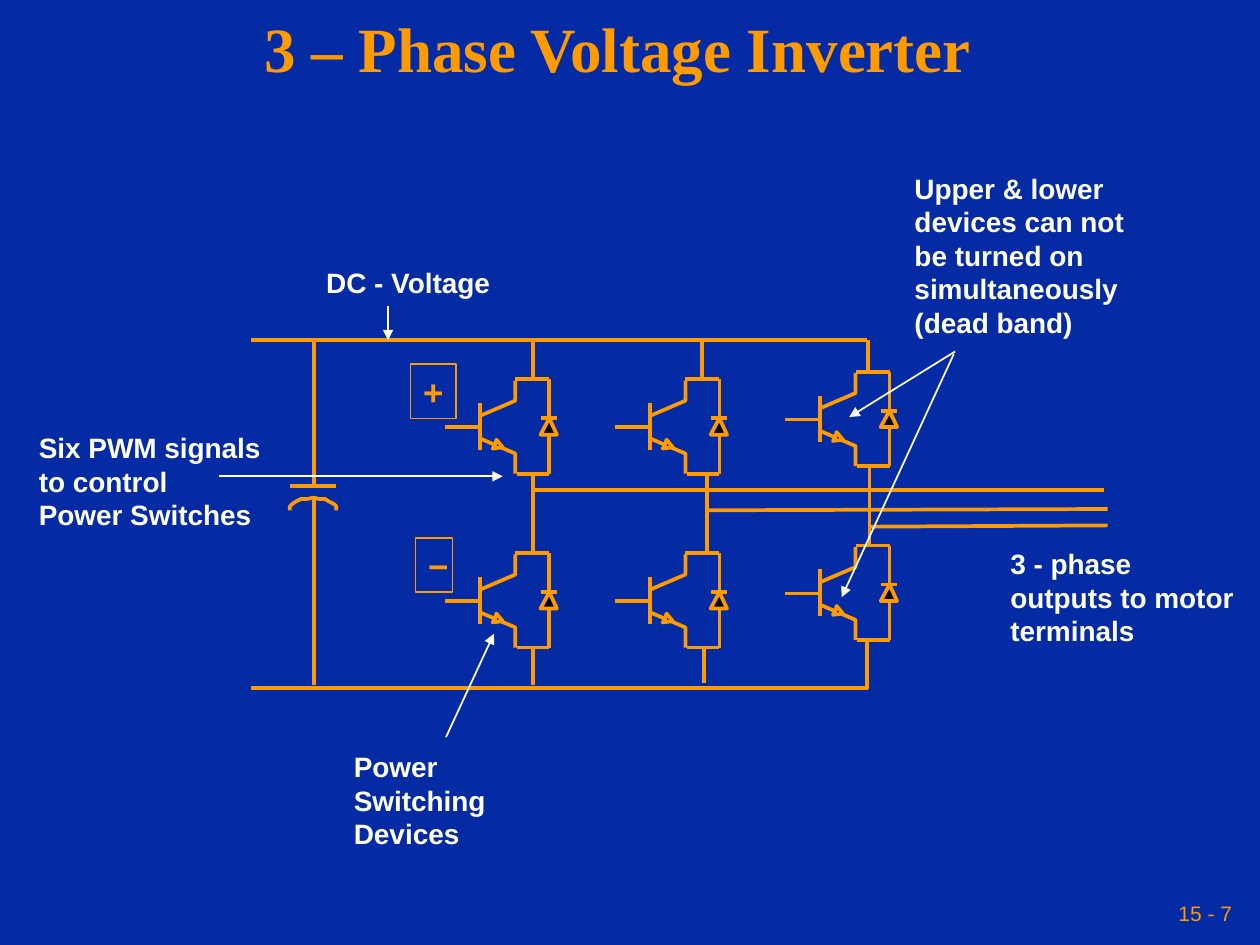
from lxml import etree
from pptx import Presentation
from pptx.dml.color import RGBColor
from pptx.enum.shapes import MSO_CONNECTOR, MSO_SHAPE
from pptx.enum.text import MSO_ANCHOR, MSO_AUTO_SIZE, PP_ALIGN
from pptx.oxml.ns import qn
from pptx.util import Inches, Pt

LINE, RECT = MSO_CONNECTOR.STRAIGHT, MSO_SHAPE.RECTANGLE
TOP, MIDDLE = MSO_ANCHOR.TOP, MSO_ANCHOR.MIDDLE
FIT, FIXED = MSO_AUTO_SIZE.SHAPE_TO_FIT_TEXT, MSO_AUTO_SIZE.NONE
LEFT, CENTER, RIGHT = PP_ALIGN.LEFT, PP_ALIGN.CENTER, PP_ALIGN.RIGHT
NAVY = RGBColor(0x04, 0x2A, 0xA4)
ORANGE = RGBColor(0xFE, 0x9B, 0x03)
WHITE = RGBColor(0xFF, 0xFF, 0xFF)
BLACK = RGBColor(0, 0, 0)

SWITCH_WIRES = [
    (0, 0.38, 0.28, 0.38), (0.28, 0.56, 0.28, 0.19),
    (0.83, 0.58, 0.83, 0.17), (0.83, 0.75, 0.83, 0),
    (0.76, 0.31, 0.89, 0.31), (0.83, 0.75, 0.61, 0.75),
    (0.83, 0, 0.56, 0), (0.57, 0.75, 0.64, 0.75),
]
COLLECTOR = [(0.28, 0.29), (0.56, 0.17), (0.56, 0.01)]
EMITTER = [(0.28, 0.47), (0.56, 0.59), (0.56, 0.75)]
TIP = [(0.4, 0.52), (0.41, 0.48), (0.46, 0.54), (0.38, 0.55)]
DIODE = [(0.83, 0.44), (0.76, 0.44), (0.83, 0.31), (0.89, 0.44)]
BUS_WIRES = [
    (2.24, 1.69, 2.24, 1.07), (3.62, 1.69, 3.62, 1.06), (4.91, 1.63, 4.91, 1),
    (2.24, 0.31, 2.24, 0.01), (3.58, 0.31, 3.58, 0), (4.9, 0.25, 4.9, 0),
    (2.24, 2.45, 2.24, 2.74), (3.6, 2.45, 3.6, 2.72),
    (4.89, 0, 0, 0), (2.24, 1.19, 6.77, 1.19),
    (3.62, 1.35, 6.8, 1.34), (4.91, 1.48, 6.8, 1.47),
]
RETURN = [(4.89, 2.39), (4.89, 2.76), (0, 2.76)]
CAP_WIRES = [
    (0.19, 1.63, 0.19, 1.25), (0.19, 1.16, 0.19, 0.87),
    (0, 1.16, 0.37, 1.16), (0.19, 0.91, 0.19, 0.01), (0.19, 1.48, 0.19, 2.74),
]
PLATE = [(0, 1.35), (0, 1.32), (0.02, 1.3), (0.05, 1.28), (0.09, 1.26),
         (0.14, 1.26), (0.19, 1.25), (0.23, 1.26), (0.28, 1.26),
         (0.31, 1.28), (0.35, 1.3), (0.37, 1.32), (0.37, 1.35)]
LABELS = [
    ((2.71, 5.9, 1.25, 0.9), False, ["Power", "Switching", "Devices"]),
    ((7.92, 4.29, 2.08, 0.9), True,
     ["3 - phase", "outputs to motor", "terminals"]),
    ((7.16, 1.31, 1.87, 1.43), False,
     ["Upper & lower", "devices can not", "be turned on",
      "simultaneously", "(dead band)"]),
    ((0.21, 3.37, 1.96, 0.9), False,
     ["Six PWM signals", "to control", "Power Switches"]),
    ((2.49, 2.06, 1.52, 0.37), False, ["DC - Voltage"]),
]
SIGNS = [((3.26, 2.89, 0.36, 0.43), "+"), ((3.3, 4.27, 0.29, 0.43), "−")]
POINTERS = [
    (7.58, 2.79, 6.74, 3.31), (7.57, 2.81, 6.68, 4.74),
    (1.74, 3.78, 3.99, 3.78), (3.54, 5.85, 3.92, 5.03),
    (3.08, 2.43, 3.08, 2.7),
]


def draw_line(slide, left, top, ends, color=ORANGE, width=2.13, arrow=False):
    """Draw a straight line whose ends are offsets from left and top."""
    x1, y1, x2, y2 = ends
    line = slide.shapes.add_connector(
        LINE, Inches(left + x1), Inches(top + y1),
        Inches(left + x2), Inches(top + y2))
    line.line.color.rgb = color
    line.line.width = Pt(width)
    if arrow:
        tail = etree.SubElement(line.line._get_or_add_ln(), qn("a:tailEnd"))
        tail.set("type", "triangle")
    etree.SubElement(line._element.spPr, qn("a:effectLst"))


def draw_path(slide, left, top, points, fill=None):
    """Draw an outline through offsets, closed when it has a fill."""
    spots = [(Inches(left + x), Inches(top + y)) for x, y in points]
    pen = slide.shapes.build_freeform(*spots[0])
    pen.add_line_segments(spots[1:], close=fill is not None)
    shape = pen.convert_to_shape()
    shape.shadow.inherit = False
    shape.line.color.rgb = ORANGE
    shape.line.width = Pt(2.13)
    if fill is None:
        shape.fill.background()
    else:
        shape.fill.solid()
        shape.fill.fore_color.rgb = fill


def set_text(frame, lines, size, color, bold=True, font="Arial", align=LEFT,
             wrap=False, anchor=TOP, side=0.1, fit=FIT):
    """Fill a text frame with one paragraph for each line."""
    frame.word_wrap = wrap
    frame.auto_size = fit
    frame.vertical_anchor = anchor
    frame.margin_left = frame.margin_right = Inches(side)
    frame.margin_top = frame.margin_bottom = Inches(0.05)
    for i, line in enumerate(lines):
        para = frame.add_paragraph() if i else frame.paragraphs[0]
        para.alignment = align
        run = para.add_run()
        run.text = line
        run.font.name = font
        run.font.size = Pt(size)
        run.font.bold = bold
        run.font.color.rgb = color


def add_title(slide, box):
    """Place and format the title."""
    title = slide.shapes.title
    title.left, title.top, title.width, title.height = map(Inches, box)
    set_text(title.text_frame, ["3 – Phase Voltage Inverter "], 36, ORANGE,
             font="Times New Roman", align=CENTER, wrap=True, anchor=MIDDLE,
             side=0.05, fit=FIXED)
    title.text_frame.paragraphs[0].line_spacing = 0.9


def add_switch(slide, left, top):
    """Draw one transistor with its diode."""
    for ends in SWITCH_WIRES:
        draw_line(slide, left, top, ends)
    for points in (COLLECTOR, EMITTER):
        draw_path(slide, left, top, points)
    for points in (TIP, DIODE):
        draw_path(slide, left, top, points, BLACK)


def add_bridge(slide, left, top):
    """Draw three legs of two switches, the last leg set a little higher."""
    for leg in range(3):
        lift = 0.06 if leg == 2 else 0
        for row in range(2):
            add_switch(slide, left + 1.35 * leg, top + 1.38 * row - lift)


def add_bus(slide, left, top):
    """Draw the rails, the leg wires and the three outputs."""
    for ends in BUS_WIRES:
        draw_line(slide, left, top, ends)
    draw_path(slide, left, top, RETURN)


def add_cap(slide, left, top):
    """Draw the capacitor between the rails."""
    for ends in CAP_WIRES:
        draw_line(slide, left, top, ends)
    draw_path(slide, left, top, PLATE)


def add_sign(slide, box, sign):
    """Draw a framed polarity sign."""
    shape = slide.shapes.add_shape(RECT, *map(Inches, box))
    shape.shadow.inherit = False
    shape.fill.background()
    shape.line.color.rgb = ORANGE
    shape.line.width = Pt(0.75)
    set_text(shape.text_frame, [sign], 20, ORANGE)


def add_label(slide, box, wrap, lines):
    """Place a white note."""
    label = slide.shapes.add_textbox(*map(Inches, box))
    set_text(label.text_frame, lines, 16, WHITE, wrap=wrap)


def add_number(slide, box):
    """Place the page number."""
    label = slide.shapes.add_textbox(*map(Inches, box))
    set_text(label.text_frame, ["15 - 7"], 12, ORANGE, bold=False, align=RIGHT,
             wrap=True, anchor=MIDDLE, side=0.05, fit=FIXED)


def main():
    """Build the slide and save it."""
    deck = Presentation()
    deck.slide_width, deck.slide_height = Inches(10), Inches(7.5)
    slide = deck.slides.add_slide(deck.slide_layouts[5])
    slide.background.fill.solid()
    slide.background.fill.fore_color.rgb = NAVY
    add_title(slide, (0, 0, 9.92, 0.83))
    add_number(slide, (6.83, 7.08, 3, 0.33))
    add_bridge(slide, 3.53, 3.01)
    add_bus(slide, 1.99, 2.7)
    add_cap(slide, 2.3, 2.7)
    for box, sign in SIGNS:
        add_sign(slide, box, sign)
    for box, wrap, lines in LABELS:
        add_label(slide, box, wrap, lines)
    for ends in POINTERS:
        draw_line(slide, 0, 0, ends, WHITE, 1, True)
    deck.save("out.pptx")


if __name__ == "__main__":
    main()
